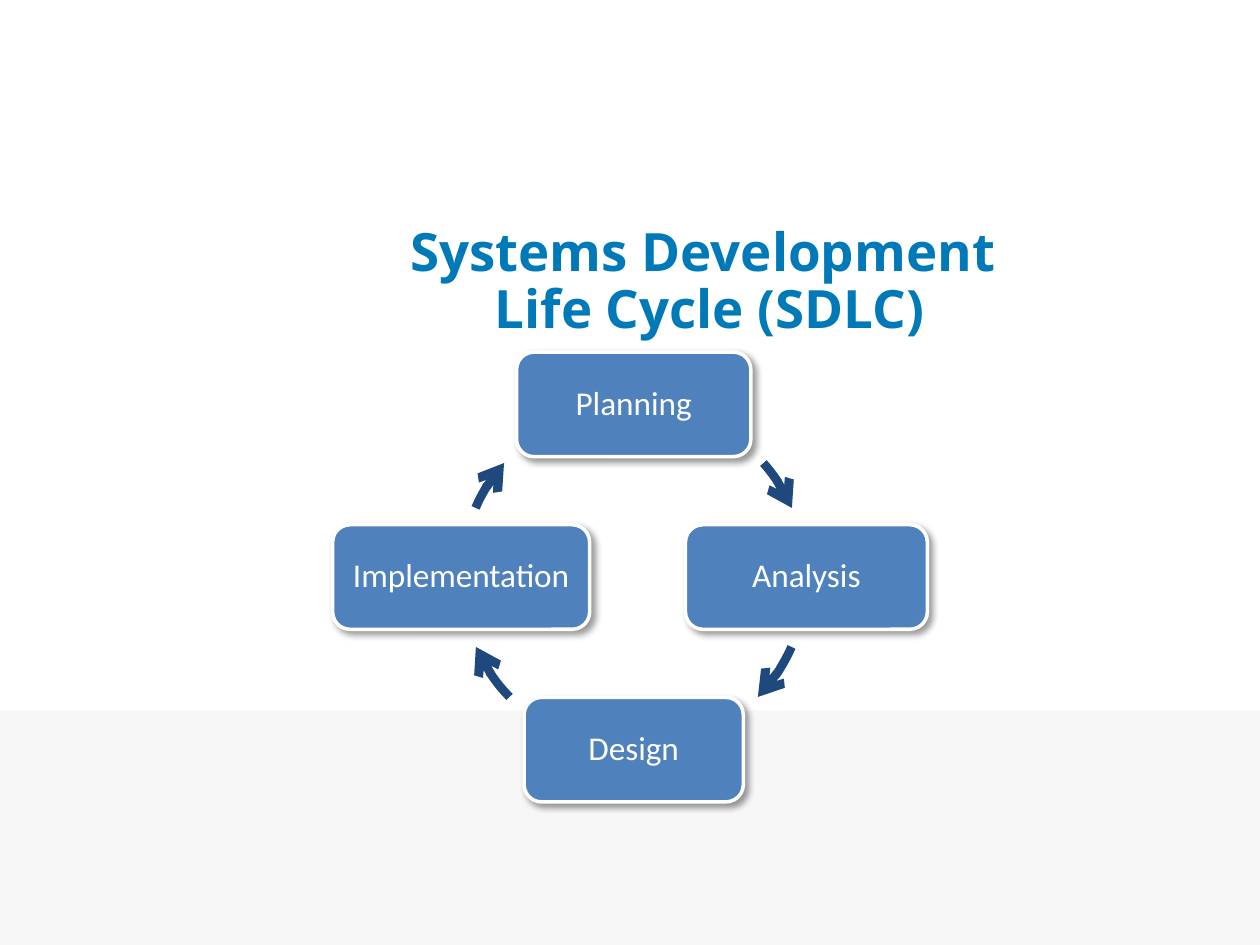
from lxml.etree import SubElement
from pptx import Presentation
from pptx.dml.color import RGBColor
from pptx.enum.shapes import MSO_SHAPE as Shape
from pptx.enum.text import MSO_ANCHOR as Anchor, PP_ALIGN as Align
from pptx.oxml.ns import qn
from pptx.util import Inches, Pt

WHITE = RGBColor(0xFF, 0xFF, 0xFF)
BAND_GRAY = RGBColor(0xF7, 0xF7, 0xF7)
TITLE_BLUE = RGBColor(0x00, 0x79, 0xB8)
BOX_BLUE = RGBColor(0x4F, 0x81, 0xBD)
ARROW_NAVY = RGBColor(0x1F, 0x49, 0x7D)

CENTER_X, CENTER_Y = 5.03, 4.58
RADIUS = 1.37
BOX_HEIGHT = 0.83

# name, horizontal and vertical direction from the center, box width
PHASES = [
    ("Planning", 0, -1, 1.86),
    ("Analysis", 1, 0, 1.92),
    ("Design", 0, 1, 1.74),
    ("Implementation", -1, 0, 2.04),
]
# start and end in degrees, clockwise from the right
ARROW_ANGLES = [(318.7, 336.4), (23.9, 44), (136, 156.1), (203.6, 221.3)]


def write_text(shape, text, font="Calibri", size=19, color=WHITE, bold=False, inset=0.08):
    frame = shape.text_frame
    frame.word_wrap = True
    frame.vertical_anchor = Anchor.MIDDLE
    frame.margin_left = frame.margin_right = Inches(inset)
    frame.margin_top = frame.margin_bottom = Inches(inset)
    paragraph = frame.paragraphs[0]
    paragraph.text = text
    paragraph.alignment = Align.CENTER
    paragraph.line_spacing = 0.9
    for run in paragraph.runs:
        run.font.name = font
        run.font.size = Pt(size)
        run.font.bold = bold
        run.font.color.rgb = color


def add_filled_shape(slide, kind, left, top, width, height, fill):
    shape = slide.shapes.add_shape(
        kind, Inches(left), Inches(top), Inches(width), Inches(height))
    shape.shadow.inherit = False
    shape.fill.solid()
    shape.fill.fore_color.rgb = fill
    shape.line.fill.background()
    return shape


def add_drop_shadow(shape):
    effects = shape._element.spPr.find(qn("a:effectLst"))
    shadow = SubElement(effects, qn("a:outerShdw"), blurRad=str(Pt(4)),
                        dist=str(Pt(3)), dir=str(45 * 60000), rotWithShape="0")
    color = SubElement(shadow, qn("a:srgbClr"), val="000000")
    SubElement(color, qn("a:alpha"), val="40000")


def add_phase(slide, name, across, down, width):
    left = CENTER_X + across * RADIUS - width / 2
    top = CENTER_Y + down * RADIUS - BOX_HEIGHT / 2
    box = add_filled_shape(
        slide, Shape.ROUNDED_RECTANGLE, left, top, width, BOX_HEIGHT, BOX_BLUE)
    box.line.color.rgb = WHITE
    box.line.width = Pt(2)
    add_drop_shadow(box)
    write_text(box, name)


def add_cycle_arrow(slide, start, end):
    arc = slide.shapes.add_shape(
        Shape.ARC, Inches(CENTER_X - RADIUS), Inches(CENTER_Y - RADIUS),
        Inches(2 * RADIUS), Inches(2 * RADIUS))
    arc.shadow.inherit = False
    arc.fill.background()
    for index, angle in enumerate((start, end)):
        # Angles are stored in 1/60000 degree, adjustments in 1/100000
        arc.adjustments[index] = angle * 0.6
    arc.line.color.rgb = ARROW_NAVY
    arc.line.width = Pt(5)
    SubElement(arc.line._get_or_add_ln(), qn("a:tailEnd"), type="arrow")


def add_title(slide):
    title = slide.shapes.add_textbox(
        Inches(1.77), Inches(1.62), Inches(7.73), Inches(1.25))
    write_text(title, "Systems Development \vLife Cycle (SDLC)",
               font="Open Sans", size=30.2, color=TITLE_BLUE, bold=True, inset=0.05)


def main():
    presentation = Presentation()
    presentation.slide_width = Inches(10)
    presentation.slide_height = Inches(7.5)
    slide = presentation.slides.add_slide(presentation.slide_layouts[6])
    add_filled_shape(slide, Shape.RECTANGLE, 0, 5.64, 10, 1.86, BAND_GRAY)
    add_title(slide)
    for phase, angles in zip(PHASES, ARROW_ANGLES):
        add_phase(slide, *phase)
        add_cycle_arrow(slide, *angles)
    presentation.save("out.pptx")


if __name__ == "__main__":
    main()
